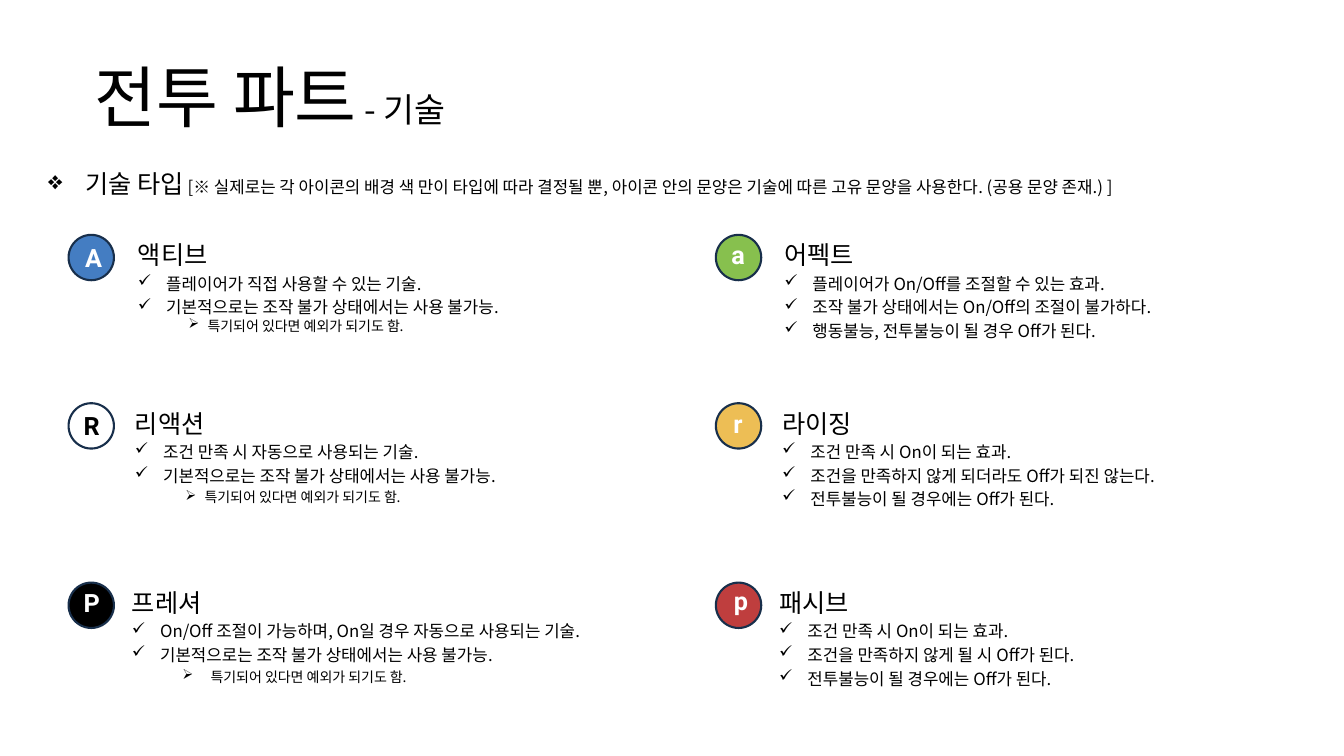
"""Build the slide on combat skill types."""
from dataclasses import dataclass

from lxml.etree import SubElement as Sub
from pptx import Presentation as Deck
from pptx.dml.color import RGBColor as Color
from pptx.enum.shapes import MSO_SHAPE as Form
from pptx.enum.text import MSO_ANCHOR as Anchor, MSO_AUTO_SIZE as Fit, PP_ALIGN as Align
from pptx.oxml.ns import qn
from pptx.util import Inches, Pt


@dataclass(frozen=True)
class Theme:
    """Fonts, colours and type sizes."""
    body: str = "Noto Sans CJK KR"
    badge: str = "Roboto"
    black: str = "000000"
    white: str = "FFFFFF"
    edge: str = "182F4B"
    blue: str = "447DC2"
    green: str = "87C04E"
    gold: str = "EDBE55"
    red: str = "BF3E3E"
    title: float = 48
    sub: float = 24
    head: float = 18
    text: float = 12
    note: float = 10
    gap: float = 2.4


@dataclass(frozen=True)
class Skill:
    """One skill type with its badge and rules."""
    mark: str
    fill: str
    ink: str
    col: int
    row: int
    dx: float
    dy: float
    left: float
    name: str
    rules: tuple[str, ...]
    note: str = ""
    inset: float = 0.69
    hang: float = 0.19
    space: float = Theme.gap


THEME = Theme()
COLS = (0.68, 7.1)
ROWS = (2.33, 4, 5.78)
BASE = "기본적으로는 조작 불가 상태에서는 사용 불가능."
NOTE = "특기되어 있다면 예외가 되기도 함."
MEET = "조건 만족 시 On이 되는 효과."
DOWN = "전투불능이 될 경우에는 Off가 된다."
SKILLS = (
    Skill("A", THEME.blue, THEME.white, 0, 0, 0.05, 0.03, 1.27, "액티브",
          ("플레이어가 직접 사용할 수 있는 기술.", BASE), NOTE, space=0),
    Skill("a", THEME.green, THEME.white, 1, 0, 0.02, 0, 7.68, "어펙트",
          ("플레이어가 On/Off를 조절할 수 있는 효과.",
           "조작 불가 상태에서는 On/Off의 조절이 불가하다.",
           "행동불능, 전투불능이 될 경우 Off가 된다.")),
    Skill("R", THEME.white, THEME.black, 0, 1, 0.03, 0.02, 1.24, "리액션",
          ("조건 만족 시 자동으로 사용되는 기술.", BASE), NOTE),
    Skill("r", THEME.gold, THEME.white, 1, 1, 0.02, 0, 7.66, "라이징",
          (MEET, "조건을 만족하지 않게 되더라도 Off가 되진 않는다.", DOWN)),
    Skill("P", THEME.black, THEME.white, 0, 2, 0.03, 0, 1.21, "프레셔",
          ("On/Off 조절이 가능하며, On일 경우 자동으로 사용되는 기술.", BASE),
          NOTE, 0.78, 0.28),
    Skill("p", THEME.red, THEME.white, 1, 2, 0.05, -0.02, 7.63, "패시브",
          (MEET, "조건을 만족하지 않게 될 시 Off가 된다.", DOWN)),
)


def add_box(shapes, left: float, top: float, width: float, height: float,
            fit: Fit = Fit.SHAPE_TO_FIT_TEXT):
    """Add a wrapping text box and return its frame."""
    frame = shapes.add_textbox(*map(Inches, (left, top, width, height))).text_frame
    frame.word_wrap = True
    frame.auto_size = fit
    return frame


def style(run, size: float, face: str = THEME.body, ink: str = THEME.black,
          bold: bool = False) -> None:
    """Set the type of a run."""
    font = run.font
    font.size, font.name, font.bold = Pt(size), face, bold
    font.color.rgb = Color.from_string(ink)
    Sub(font._element, qn("a:ea")).set("typeface", face)


def add_run(para, text: str, size: float) -> None:
    """Append a styled run to a paragraph."""
    run = para.add_run()
    run.text = text
    style(run, size)


def bullet(para, char: str, inset: float, hang: float, space: float = 0) -> None:
    """Give a paragraph a bullet, a hanging indent and a gap above."""
    para.space_before = Pt(space)
    props = para._p.get_or_add_pPr()
    props.set("marL", str(Inches(inset)))
    props.set("indent", str(-Inches(hang)))
    Sub(props, qn("a:buChar")).set("char", char)


def add_badge(shapes, skill: Skill) -> None:
    """Draw the round badge with its letter as a group."""
    left, top = COLS[skill.col], ROWS[skill.row]
    parts = shapes.add_group_shape().shapes
    disc = parts.add_shape(Form.OVAL, *map(Inches, (left, top, 0.45, 0.45)))
    disc.shadow.inherit = False
    disc.fill.solid()
    disc.fill.fore_color.rgb = Color.from_string(skill.fill)
    disc.line.color.rgb = Color.from_string(THEME.edge)
    disc.line.width = Pt(1.5)
    frame = add_box(parts, left + skill.dx, top + skill.dy, 0.4, 0.4)
    frame.text = skill.mark
    para = frame.paragraphs[0]
    para.alignment = Align.CENTER
    style(para.runs[0], THEME.head, THEME.badge, skill.ink, True)


def add_rules(shapes, skill: Skill) -> None:
    """Write the name, rules and note of a skill type."""
    frame = add_box(shapes, skill.left, ROWS[skill.row], 4.95, 1.1)
    add_run(frame.paragraphs[0], skill.name, THEME.head)
    for rule in skill.rules:
        para = frame.add_paragraph()
        bullet(para, "✓", 0.28, 0.28, THEME.gap)
        add_run(para, rule, THEME.text)
    if skill.note:
        para = frame.add_paragraph()
        para.level = 1
        bullet(para, "➢", skill.inset, skill.hang, skill.space)
        add_run(para, skill.note, THEME.note)


def main() -> None:
    """Build and save the deck."""
    deck = Deck()
    deck.slide_width, deck.slide_height = Inches(13.33), Inches(7.5)
    shapes = deck.slides.add_slide(deck.slide_layouts[6]).shapes

    frame = add_box(shapes, 0.84, 0.36, 7.64, 1.17, Fit.NONE)
    frame.vertical_anchor = Anchor.MIDDLE
    title = frame.paragraphs[0]
    add_run(title, "전투 파트", THEME.title)
    add_run(title, " - 기술", THEME.sub)

    lead = add_box(shapes, 0.38, 1.62, 11.72, 0.4).paragraphs[0]
    bullet(lead, "❖", 0.37, 0.37)
    add_run(lead, "기술 타입", THEME.head)
    add_run(lead, " [※ 실제로는 각 아이콘의 배경 색 만이 타입에 따라 결정될 뿐, "
                  "아이콘 안의 문양은 기술에 따른 고유 문양을 사용한다. "
                  "(공용 문양 존재.) ]", THEME.text)

    for skill in SKILLS:
        add_badge(shapes, skill)
        add_rules(shapes, skill)
    deck.save("out.pptx")


if __name__ == "__main__":
    main()
